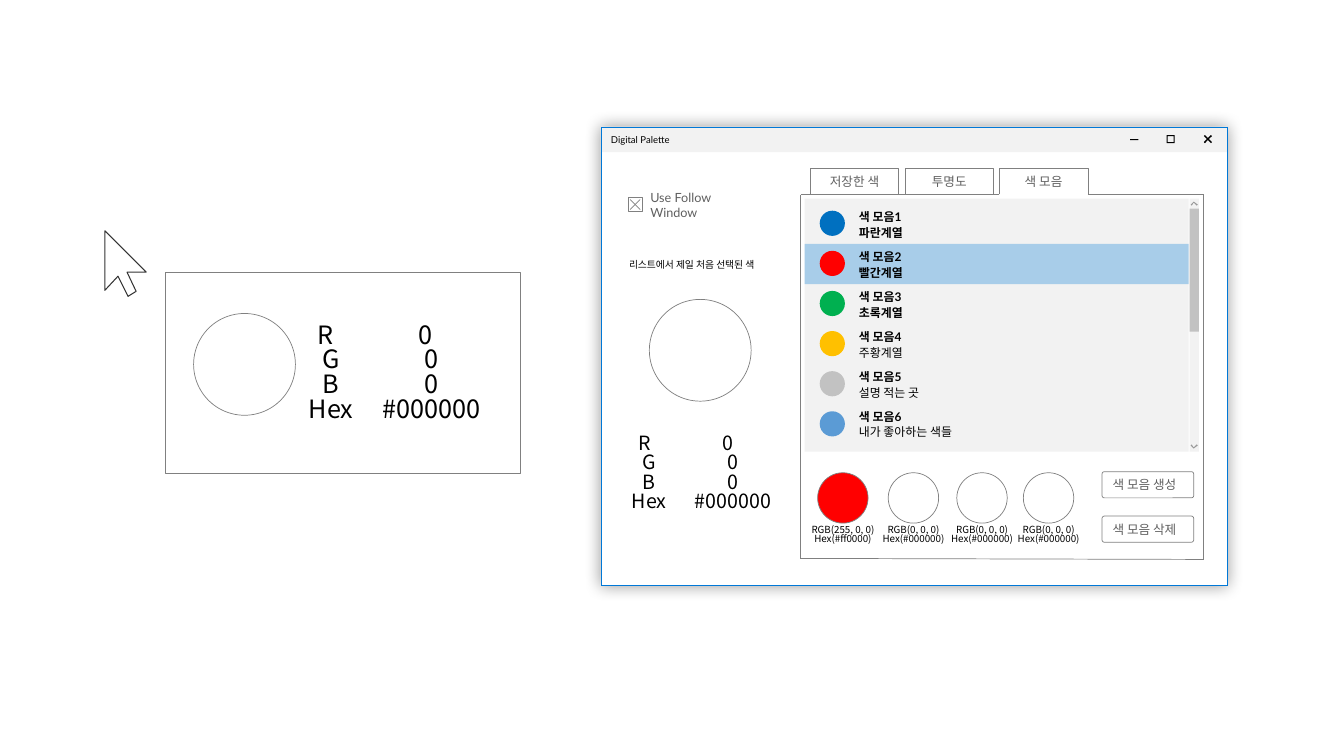
from pptx import Presentation
from pptx.dml.color import RGBColor
from pptx.enum.shapes import MSO_CONNECTOR, MSO_SHAPE
from pptx.enum.text import MSO_ANCHOR, PP_ALIGN
from pptx.oxml import parse_xml
from pptx.oxml.ns import nsdecls, qn
from pptx.util import Inches, Pt
from lxml import etree

LATO, NOTO = "Lato", "Noto Sans CJK KR"
GRAY, LABEL, BLUE, PALE = "808080", "5F5F5F", "0078D7", "F2F2F2"
RECT, OVAL, ROUND = MSO_SHAPE.RECTANGLE, MSO_SHAPE.OVAL, MSO_SHAPE.ROUNDED_RECTANGLE

COLOR_SETS = [
    ("색 모음1", "파란계열", "0070C0", True),
    ("색 모음2", "빨간계열", "FF0000", True),
    ("색 모음3", "초록계열", "00B050", True),
    ("색 모음4", "주황계열", "FFC000", False),
    ("색 모음5", "설명 적는 곳", "C2C2C2", False),
    ("색 모음6", "내가 좋아하는 색들", "5B9BD5", False),
]
SWATCHES = [
    (8.11, "FF0000", "RGB(255, 0, 0)", "Hex(#ff0000)"),
    (8.81, None, "RGB(0, 0, 0)", "Hex(#000000)"),
    (9.49, None, "RGB(0, 0, 0)", "Hex(#000000)"),
    (10.15, None, "RGB(0, 0, 0)", "Hex(#000000)"),
]
CHANNELS = ["R", "G", "B", "Hex"]
VALUES = ["0", "0", "0", "#000000"]
READOUTS = [(2.92, 0.73, 3.68, 1.2, 3.19, 18), (6.14, 0.6, 6.77, 1, 4.18, 14)]
TABS = [(8.04, "저장한 색"), (8.98, "투명도")]
BUTTONS = [(4.68, "색 모음 생성"), (5.12, "색 모음 삭제")]
PANEL_LINES = [
    (11.3, 1.93, 11.94, 1.93), (7.94, 1.93, 7.94, 5.55), (11.94, 1.93, 11.94, 5.55),
    (11.94, 5.55, 7.94, 5.54), (9.91, 1.93, 7.94, 1.93), (10.79, 1.93, 11.3, 1.93),
]
CURSOR = [(1.35, 2.89), (1.26, 2.7), (1.45, 2.7), (1.04, 2.29), (1.04, 2.88), (1.17, 2.74), (1.27, 2.94)]
MAXIMIZE = [
    [(11.57, 1.34), (11.57, 1.42), (11.65, 1.42), (11.65, 1.34)],
    [(11.58, 1.35), (11.64, 1.35), (11.64, 1.41), (11.58, 1.41)],
]
CLOSE = [(11.94, 1.35), (11.97, 1.38), (11.94, 1.41), (11.95, 1.42), (11.98, 1.39), (12.01, 1.42),
         (12.02, 1.41), (11.99, 1.38), (12.02, 1.35), (12.01, 1.34), (11.98, 1.37), (11.95, 1.34)]
CHECK = [[(6.35, 1.98), (6.25, 2.08)], [(6.25, 1.98), (6.35, 2.08)]]
CHEVRON = [(-0.03, 0.03), (0, 0), (0.04, 0.03), (0.03, 0.04), (0, 0.01), (-0.02, 0.04)]

prs = Presentation()
prs.slide_width, prs.slide_height = Inches(13.33), Inches(7.5)
slide = prs.slides.add_slide(prs.slide_layouts[6])
shapes = slide.shapes


def color(value):
    return RGBColor.from_string(value)


def paint(shape, fill=None, line=None, weight=0.5):
    shape.shadow.inherit = False
    if fill:
        shape.fill.solid()
        shape.fill.fore_color.rgb = color(fill)
    else:
        shape.fill.background()
    if line:
        shape.line.color.rgb = color(line)
        shape.line.width = Pt(weight)
    else:
        shape.line.fill.background()
    return shape


def box(kind, x, y, w, h, fill=None, line=None):
    return paint(shapes.add_shape(kind, Inches(x), Inches(y), Inches(w), Inches(h)), fill, line)


def outline(contours, fill=None, line=None, weight=0.5, close=True):
    builder = None
    for points in contours:
        start, *rest = [(Inches(x), Inches(y)) for x, y in points]
        if builder is None:
            builder = shapes.build_freeform(*start)
        else:
            builder.move_to(*start)
        builder.add_line_segments(rest, close=close)
    return paint(builder.convert_to_shape(), fill, line, weight)


def rule(x1, y1, x2, y2):
    line = shapes.add_connector(MSO_CONNECTOR.STRAIGHT, Inches(x1), Inches(y1), Inches(x2), Inches(y2))
    line.line.color.rgb = color(GRAY)
    line.line.width = Pt(0.5)
    etree.SubElement(line._element.spPr, qn("a:effectLst"))


def style(run, size, font, ink, bold=False):
    run.font.size, run.font.name, run.font.bold = Pt(size), font, bold
    run.font.color.rgb = color(ink)
    etree.SubElement(run.font._element, qn("a:ea")).set("typeface", NOTO)


def write(shape, lines, size, font=NOTO, ink="000000", align=PP_ALIGN.LEFT, anchor=MSO_ANCHOR.MIDDLE,
          insets=(0.1, 0.05, 0.1, 0.05), wrap=True, spacing=None):
    frame = shape.text_frame
    frame.word_wrap, frame.vertical_anchor = wrap, anchor
    frame.margin_left, frame.margin_top, frame.margin_right, frame.margin_bottom = map(Inches, insets)
    for i, text in enumerate(lines):
        paragraph = frame.paragraphs[0] if i == 0 else frame.add_paragraph()
        paragraph.alignment = align
        if spacing:
            paragraph.line_spacing = spacing
        run = paragraph.add_run()
        run.text = text
        style(run, size, font, ink)
    return frame


def textbox(x, y, w, h):
    return shapes.add_textbox(Inches(x), Inches(y), Inches(w), Inches(h))


def readout(names_x, names_w, values_x, values_w, y, size):
    shift = size / 150
    for x, w, lines in ((names_x, names_w, CHANNELS), (values_x, values_w, VALUES)):
        frame = write(textbox(x - shift, y, w + shift, 1.04), lines, size, align=PP_ALIGN.CENTER, spacing=0.82)
        for paragraph in frame.paragraphs[1:]:
            paragraph._p.get_or_add_pPr().set("marL", str(Inches(shift)))


window = box(RECT, 5.96, 1.26, 6.21, 4.55, "FFFFFF", BLUE)
effects = window._element.spPr.find(qn("a:effectLst"))
effects.append(parse_xml(
    f'<a:outerShdw {nsdecls("a")} blurRad="{Pt(12)}" dist="0" dir="0" algn="ctr" rotWithShape="0">'
    '<a:srgbClr val="000000"><a:alpha val="40000"/></a:srgbClr></a:outerShdw>'))
title = box(RECT, 5.96, 1.26, 6.21, 0.25, PALE)
write(title, ["Digital Palette"], 6.8, LATO, insets=(0.1, 0.06, 0.1, 0.05))
box(RECT, 11.21, 1.38, 0.08, 0.01, "000000")
outline(MAXIMIZE, "000000")
outline([CLOSE], "000000")
box(RECT, 5.96, 1.26, 6.21, 4.55, None, BLUE)

box(RECT, 6.23, 1.96, 0.14, 0.14, "FFFFFF", GRAY)
write(textbox(6.37, 1.92, 0.9, 0.23), ["Use Follow Window"], 9, LATO, LABEL, insets=(0.08, 0.04, 0.08, 0.04))
outline(CHECK, None, GRAY, close=False)

for ends in PANEL_LINES:
    rule(*ends)
outline([CURSOR], "FFFFFF", "333333", 0.75)
box(RECT, 1.64, 2.7, 3.52, 2, "FFFFFF", GRAY)
for x, y in ((1.92, 3.11), (6.44, 2.97)):
    box(OVAL, x, y, 1.01, 1.01, None, GRAY)
for place in READOUTS:
    readout(*place)

tabs = [(box(RECT, x, 1.67, 0.87, 0.26, "FFFFFF", GRAY), name) for x, name in TABS]
open_tab = outline([[(9.91, 1.93), (9.91, 1.67), (10.79, 1.67), (10.79, 1.93)]], "FFFFFF", GRAY, close=False)
for tab, name in tabs + [(open_tab, "색 모음")]:
    write(tab, [name], 9, LATO, LABEL, PP_ALIGN.CENTER, insets=(0.05,) * 4)
write(textbox(6.14, 2.52, 1.62, 0.22), ["리스트에서 제일 처음 선택된 색"], 7, anchor=MSO_ANCHOR.TOP, wrap=False)

box(RECT, 7.98, 1.97, 3.81, 2.51, PALE)
selection = box(RECT, 7.98, 2.42, 3.81, 0.4, BLUE)
tint = selection._element.spPr.find(qn("a:solidFill"))[0]
etree.SubElement(tint, qn("a:alpha")).set("val", "30000")
color_list = textbox(8.42, 1.97, 3.38, 2.51).text_frame
color_list.word_wrap = True
color_list.margin_left = color_list.margin_top = color_list.margin_right = color_list.margin_bottom = Inches(0.1)
for i, (name, note, fill, bold_note) in enumerate(COLOR_SETS):
    box(OVAL, 8.13, 2.09 + 0.398 * i, 0.25, 0.25, fill)
    paragraph = color_list.paragraphs[0] if i == 0 else color_list.add_paragraph()
    paragraph.line_spacing = 1.1
    paragraph.space_before = paragraph.space_after = Pt(3)
    for text, bold in ((name, True), (note, bold_note)):
        if text == note:
            paragraph.add_line_break()
        run = paragraph.add_run()
        run.text = text
        style(run, 8.5, LATO, "000000", bold)
for y, h, fill in ((1.97, 2.51, PALE), (2.07, 1.22, "C2C2C2")):
    box(RECT, 11.8, y, 0.09, h, fill)
for tip, way in ((2, 1), (4.45, -1)):
    outline([[(11.84 + dx, tip + way * dy) for dx, dy in CHEVRON]], "999999")

for y, name in BUTTONS:
    button = box(ROUND, 10.93, y, 0.91, 0.26, "FFFFFF", GRAY)
    button.adjustments[0] = 0.09
    write(button, [name], 9, LATO, LABEL, wrap=False)
for x, fill, rgb, code in SWATCHES:
    box(OVAL, x, 4.69, 0.5, 0.5, fill, GRAY)
    write(textbox(x - 0.16, 5.17, 0.82, 0.34), [rgb, code], 7, align=PP_ALIGN.CENTER,
          anchor=MSO_ANCHOR.TOP, wrap=False, spacing=0.8)

prs.save("out.pptx")
